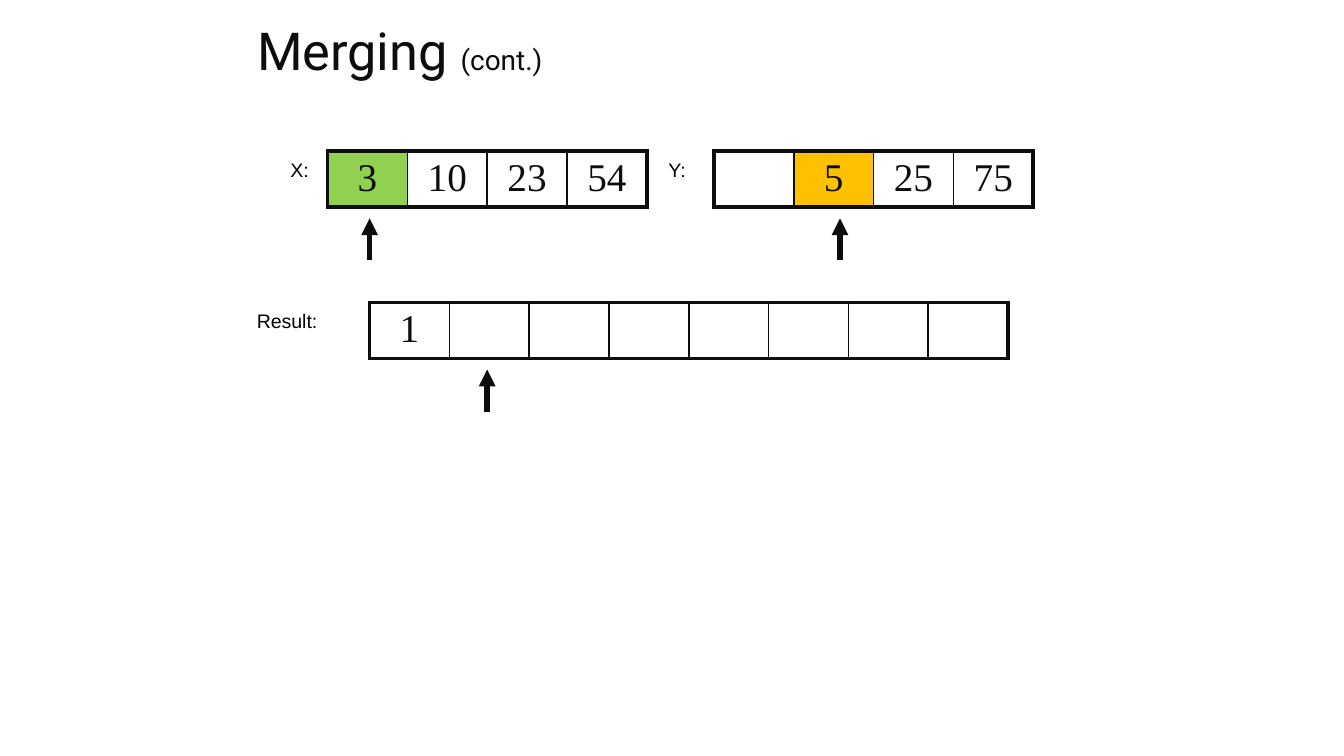
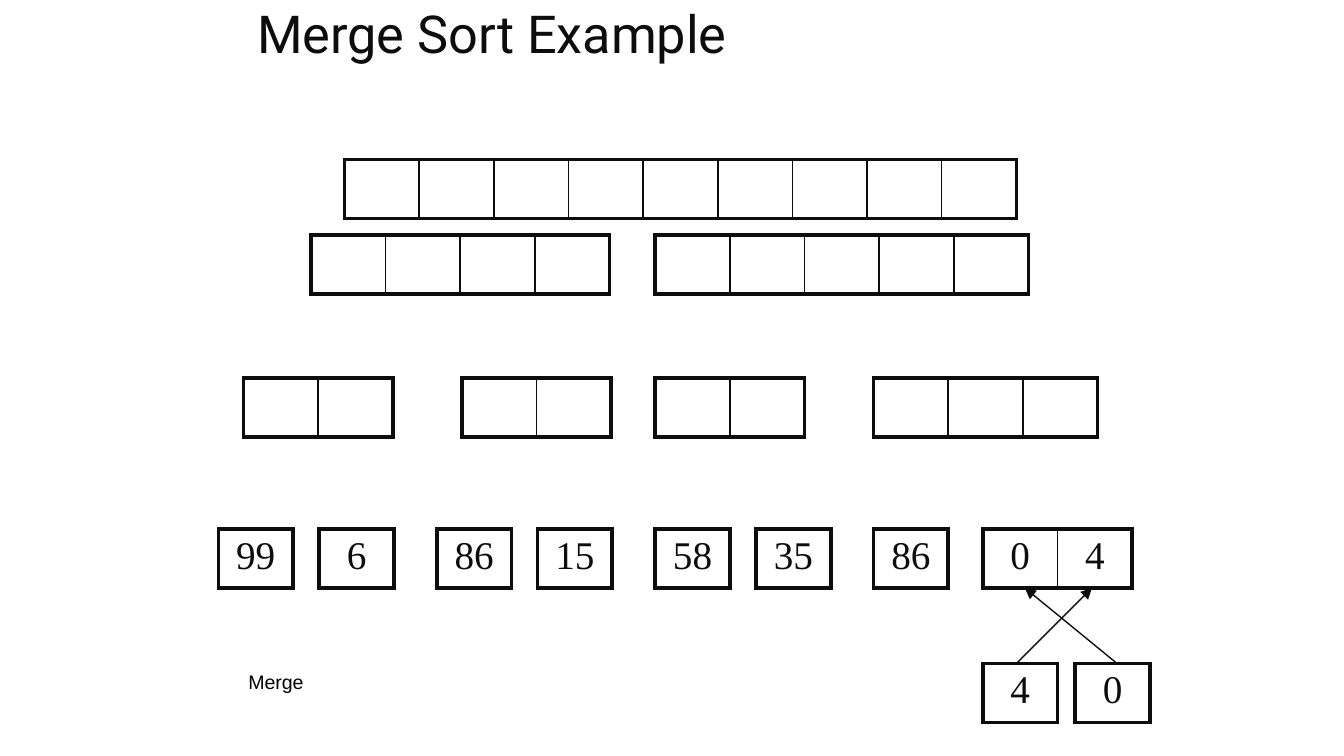
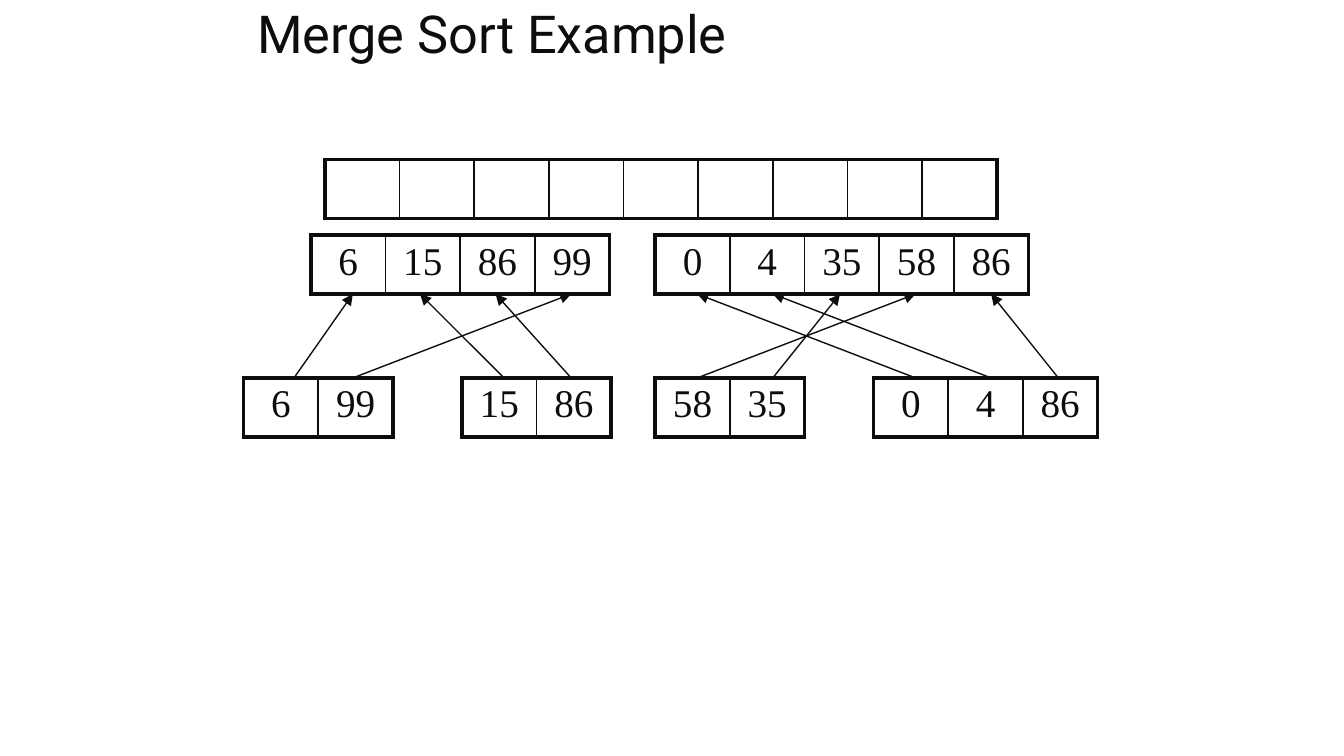
import lxml.etree
import pptx
import pptx.dml.color
import pptx.enum.shapes
import pptx.enum.text
import pptx.oxml.ns
import pptx.util

Pt = pptx.util.Pt
qn = pptx.oxml.ns.qn

COLORS = {"ink": "0D0D0D", "label": "000000", "paper": "FFFFFF",
          "green": "92D050", "amber": "FFC000"}
TITLE_FONT, CELL_FONT, LABEL_FONT = "Roboto", "Times New Roman", "Arial"
OUTER, INNER = 2.25, 1

# Cell sizes of the two kinds of array
MERGE_CELL = (42.75, 30)
SORT_CELL = (40, 31.5)

# Tops of the merge sort levels
LEVELS = [85.5, 126, 202.5, 283.5, 355.5]
HALVES = [166.5, 351]
QUARTERS = [130.5, 247.5, 351, 468]


def rgb(name):
    return pptx.dml.color.RGBColor.from_string(COLORS[name])


def style_run(r, font, size, color):
    r.font.name = font
    r.font.size = Pt(size)
    r.font.color.rgb = rgb(color)


def add_slide(prs, box, *parts):
    """Add a slide whose title is made of (text, size) parts."""
    s = prs.slides.add_slide(prs.slide_layouts[5])
    s.background.fill.solid()
    s.background.fill.fore_color.rgb = rgb("paper")
    sp = s.shapes.title
    sp.left, sp.top, sp.width, sp.height = map(Pt, box)
    tf = sp.text_frame
    tf.auto_size = pptx.enum.text.MSO_AUTO_SIZE.NONE
    tf.vertical_anchor = pptx.enum.text.MSO_ANCHOR.TOP
    tf.margin_left = tf.margin_right = tf.margin_top = tf.margin_bottom = Pt(7.2)
    p = tf.paragraphs[0]
    p.alignment = pptx.enum.text.PP_ALIGN.LEFT
    p.line_spacing = 0.8
    for text, size in parts:
        r = p.add_run()
        r.text = text
        style_run(r, TITLE_FONT, size, "ink")
    return s


def set_borders(cell, widths):
    """Draw the left, right, top and bottom borders of a cell."""
    tc_pr = cell._tc.get_or_add_tcPr()
    for i, (side, width) in enumerate(zip("LRTB", widths)):
        ln = lxml.etree.Element(qn(f"a:ln{side}"), w=str(Pt(width)))
        fill = lxml.etree.SubElement(ln, qn("a:solidFill"))
        lxml.etree.SubElement(fill, qn("a:srgbClr"), val=COLORS["ink"])
        tc_pr.insert(i, ln)


def add_array(s, left, top, values, size=SORT_CELL, marked=None):
    """Add a one-row array; marked maps a cell index to its fill colour."""
    marked = marked or {}
    width, height = size
    n = len(values)
    frame = s.shapes.add_table(1, n, Pt(left), Pt(top), Pt(width * n), Pt(height))
    table = frame.table
    table.first_row = table.horz_banding = False
    table.rows[0].height = Pt(height)
    for i, value in enumerate(values):
        table.columns[i].width = Pt(width)
        cell = table.cell(0, i)
        cell.margin_left = cell.margin_right = Pt(5)
        cell.margin_top = cell.margin_bottom = Pt(2.7)
        if i in marked:
            cell.fill.solid()
            cell.fill.fore_color.rgb = rgb(marked[i])
        else:
            cell.fill.background()
        set_borders(cell, (OUTER if i == 0 else INNER,
                           OUTER if i == n - 1 else INNER, OUTER, OUTER))
        if value != "":
            p = cell.text_frame.paragraphs[0]
            p.text = str(value)
            p.alignment = pptx.enum.text.PP_ALIGN.CENTER
            style_run(p.runs[0], CELL_FONT, 21, "ink")


def add_label(s, left, top, width, text):
    sp = s.shapes.add_textbox(Pt(left), Pt(top), Pt(width), Pt(20))
    tf = sp.text_frame
    tf.word_wrap = True
    tf.text = text
    style_run(tf.paragraphs[0].runs[0], LABEL_FONT, 10.5, "label")


def add_arrow(s, x1, y1, x2, y2, weight=0.75):
    sp = s.shapes.add_connector(pptx.enum.shapes.MSO_CONNECTOR.STRAIGHT,
                                Pt(x1), Pt(y1), Pt(x2), Pt(y2))
    sp.line.color.rgb = rgb("ink")
    sp.line.width = Pt(weight)
    lxml.etree.SubElement(sp.line._get_or_add_ln(), qn("a:tailEnd"), type="triangle")
    lxml.etree.SubElement(sp._element.spPr, qn("a:effectLst"))


def add_level(s, top, lefts, arrays):
    for left, values in zip(lefts, arrays):
        add_array(s, left, top, values)


def add_pointed_array(s, left, top, values, pointer, marked=None):
    """Add an array with a thick pointer below it, at an offset from its left."""
    add_array(s, left, top, values, MERGE_CELL, marked)
    add_arrow(s, left + pointer, top + 58.5, left + pointer, top + 36, 3)


def merging_slide(prs):
    s = add_slide(prs, (130.5, 9, 459, 45), ("Merging ", 28), ("(cont.)", 15))
    # Inputs
    add_pointed_array(s, 175.5, 81, [3, 10, 23, 54], 22.5, {0: "green"})
    add_pointed_array(s, 382.5, 81, ["", 5, 25, 75], 67.5, {1: "amber"})
    # Output
    add_pointed_array(s, 198, 162, [1] + [""] * 7, 63)
    # Labels
    add_label(s, 148.5, 81, 31.5, "X:")
    add_label(s, 351, 81, 31.5, "Y:")
    add_label(s, 130.5, 162, 63, "Result:")


def sort_slide(prs, whole_left, halves, quarters):
    """Add a merge sort slide with its three upper levels."""
    s = add_slide(prs, (130.5, 0, 459, 54), ("Merge Sort Example", 28))
    add_array(s, whole_left, LEVELS[0], [""] * 9)
    add_level(s, LEVELS[1], HALVES, halves)
    add_level(s, LEVELS[2], QUARTERS, quarters)
    return s


def first_merge_slide(prs):
    s = sort_slide(prs, 184.5, [[""] * n for n in (4, 5)],
                   [[""] * n for n in (2, 2, 2, 3)])
    # Single values and the merged pair
    add_level(s, LEVELS[3], [117, 171, 234, 288, 351, 405, 468, 526.5],
              [[99], [6], [86], [15], [58], [35], [86], [0, 4]])
    add_level(s, LEVELS[4], [526.5, 576], [[4], [0]])
    add_label(s, 126, LEVELS[4], 274.5, "Merge")
    # Moves into the pair
    for start, end in [(598.5, 549), (544.5, 585)]:
        add_arrow(s, start, LEVELS[4], end, LEVELS[3] + SORT_CELL[1])


def half_merge_slide(prs):
    s = sort_slide(prs, 174, [[6, 15, 86, 99], [0, 4, 35, 58, 86]],
                   [[6, 99], [15, 86], [58, 35], [0, 4, 86]])
    # Moves into the halves
    moves = [(157.5, 189), (270, 225), (189, 306), (306, 265.5), (373.5, 490.5),
             (490.5, 373.5), (531, 414), (414, 450), (567, 531)]
    for start, end in moves:
        add_arrow(s, start, LEVELS[2], end, LEVELS[1] + SORT_CELL[1])


def main():
    prs = pptx.Presentation()
    prs.slide_width, prs.slide_height = Pt(720), Pt(405)
    merging_slide(prs)
    first_merge_slide(prs)
    half_merge_slide(prs)
    prs.save("out.pptx")


if __name__ == "__main__":
    main()
